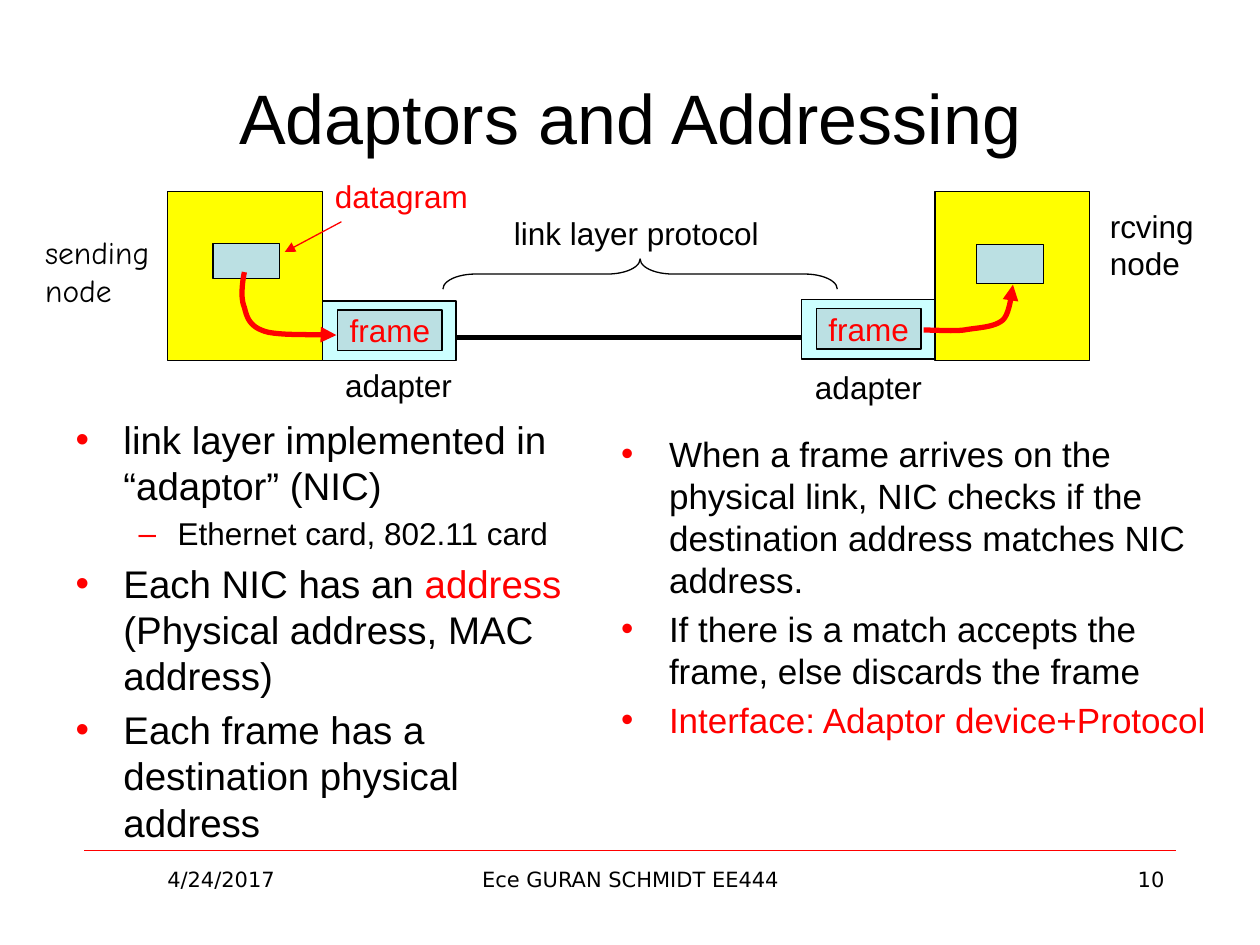
"""Build the slide on adaptors and addressing."""
import dataclasses
import typing

import lxml.etree
import pptx
import pptx.dml.color
import pptx.enum.shapes
import pptx.enum.text
import pptx.oxml.ns
import pptx.util

COLS, ROWS = 100, 75
CELL = pptx.util.Inches(0.1)
BLACK, RED, YELLOW, CYAN, TEAL = "000000", "FF0000", "FFFF00", "CCFFFF", "BBE0E3"
ALIGN = pptx.enum.text.PP_ALIGN
ANCHOR = pptx.enum.text.MSO_ANCHOR
FORM = pptx.enum.shapes.MSO_SHAPE
Point = tuple[float, float]


@dataclasses.dataclass
class Box:
    """A filled box, placed in grid columns and rows."""
    col: float
    row: float
    wide: float
    high: float
    fill: str
    text: str = ""


@dataclasses.dataclass
class Label:
    """Free text, placed in grid columns and rows."""
    col: float
    row: float
    wide: float
    high: float
    text: str
    hue: str = BLACK
    face: str = "Arial"
    size: float = 18
    align: typing.Any = ALIGN.LEFT
    wrap: bool = False


@dataclasses.dataclass
class Item:
    """A list entry made of text and colour pairs."""
    runs: list[tuple[str, str]]
    size: float
    level: int = 0


NODES = [
    Box(74.2, 15.2, 12.3, 13.4, YELLOW), Box(77.5, 19.4, 5.3, 3.1, TEAL),
    Box(13.3, 15.2, 12.3, 13.4, YELLOW), Box(16.9, 19.3, 5.3, 2.8, TEAL),
]
CARDS = [(25.6, 23.9), (63.6, 23.8)]
LABELS = [
    Label(2.6, 18, 10.7, 7, "sending\nnode", face="Comic Neue"),
    Label(87.1, 15.9, 9, 7, "rcving\nnode"),
    Label(25.6, 13.6, 13, 4, "datagram", RED),
    Label(26.4, 28.6, 10.6, 4, "adapter"),
    Label(63.7, 28.7, 10.6, 4, "adapter"),
    Label(39.8, 16.5, 21.7, 4, "link layer protocol"),
]
FOOT = [
    (6.7, 21.7, "4/24/2017", ALIGN.CENTER),
    (34.2, 31.7, "Ece GURAN SCHMIDT EE444", ALIGN.CENTER),
    (71.7, 21.7, "10", ALIGN.RIGHT),
]
LEFT = [
    Item([("link layer implemented in “adaptor” (NIC)", BLACK)], 22),
    Item([("Ethernet card, 802.11 card", BLACK)], 18, 1),
    Item([("Each NIC has an ", BLACK), ("address ", RED),
          ("(Physical address, MAC address)", BLACK)], 22),
    Item([("Each frame has a destination physical address", BLACK)], 22),
]
RIGHT = [
    Item([("When a frame arrives on the physical link, NIC checks if the "
           "destination address matches NIC address.", BLACK)], 20),
    Item([("If there is a match accepts the frame, else discards the frame", BLACK)], 20),
    Item([("Interface: Adaptor device+Protocol", RED)], 20),
]
CURVES = [
    [(19.4, 21.6), (19.2, 22.6), (19.1, 23.7), (19.4, 24.4), (19.6, 25.2),
     (19.8, 25.9), (21, 26.3), (22.2, 26.7), (25.7, 26.5), (26.7, 26.6)],
    [(73.3, 26.2), (74.4, 26.2), (75.5, 26.3), (76.5, 26.2), (77.6, 26),
     (78.9, 26), (79.6, 25.4), (80.2, 24.8), (80.3, 23), (80.4, 22.6)],
]


def grid(*cells: float) -> list[int]:
    """Turn grid units into lengths."""
    return [round(cell * CELL) for cell in cells]


def tint(code: str) -> pptx.dml.color.RGBColor:
    """Turn a hex string into a colour."""
    return pptx.dml.color.RGBColor.from_string(code)


def put(thing: typing.Any, **looks: typing.Any) -> None:
    """Set each given attribute."""
    for name, value in looks.items():
        setattr(thing, name, value)


def place(shape: typing.Any, *cells: float) -> None:
    """Move and size a shape on the grid."""
    put(shape, **dict(zip(("left", "top", "width", "height"), grid(*cells))))


def add_node(parent: typing.Any, tag: str, **marks: str) -> typing.Any:
    """Append a drawing element."""
    return lxml.etree.SubElement(parent, pptx.oxml.ns.qn(tag), marks)


def write(para: typing.Any, text: str, hue: str, size: float, face: str = "Arial") -> None:
    """Add one styled run."""
    run = para.add_run()
    run.text = text
    put(run.font, name=face, size=pptx.util.Pt(size))
    run.font.color.rgb = tint(hue)


def ink(shape: typing.Any, hue: str, width: float, arrow: bool = False) -> None:
    """Style an outline, with an arrowhead if asked."""
    shape.line.color.rgb = tint(hue)
    shape.line.width = pptx.util.Pt(width)
    if arrow:
        add_node(shape.line._get_or_add_ln(), "a:tailEnd", type="triangle")


def draw_box(shapes: typing.Any, box: Box) -> None:
    """Draw a box and its caption."""
    shape = shapes.add_shape(FORM.RECTANGLE, *grid(box.col, box.row, box.wide, box.high))
    shape.shadow.inherit = False
    shape.fill.solid()
    shape.fill.fore_color.rgb = tint(box.fill)
    ink(shape, BLACK, 0.75)
    if box.text:
        put(shape.text_frame, word_wrap=False, vertical_anchor=ANCHOR.MIDDLE)
        para = shape.text_frame.paragraphs[0]
        para.alignment = ALIGN.CENTER
        write(para, box.text, RED, 18)


def draw_label(shapes: typing.Any, label: Label) -> None:
    """Draw free text, one paragraph a line."""
    frame = shapes.add_textbox(*grid(label.col, label.row, label.wide, label.high)).text_frame
    frame.word_wrap = label.wrap
    for order, line in enumerate(label.text.split("\n")):
        para = frame.add_paragraph() if order else frame.paragraphs[0]
        para.alignment = label.align
        write(para, line, label.hue, label.size, label.face)


def draw_line(shapes: typing.Any, start: Point, end: Point, hue: str,
              width: float, arrow: bool = False) -> None:
    """Draw a straight line."""
    kind = pptx.enum.shapes.MSO_CONNECTOR.STRAIGHT
    line = shapes.add_connector(kind, *grid(*start, *end))
    ink(line, hue, width, arrow)
    add_node(line.element.spPr, "a:effectLst")


def draw_curve(shapes: typing.Any, knots: list[Point], steps: int = 12) -> None:
    """Draw an arrow along joined cubic curves."""
    spots = []
    for first in range(0, len(knots) - 1, 3):
        for step in range(1, steps + 1):
            t = step / steps
            parts = ((1 - t) ** 3, 3 * t * (1 - t) ** 2, 3 * t * t * (1 - t), t ** 3)
            ends = zip(*knots[first:first + 4])
            spots.append(tuple(grid(*(sum(p * v for p, v in zip(parts, axis)) for axis in ends))))
    pen = shapes.build_freeform(*grid(*knots[0]))
    pen.add_line_segments(spots, close=False)
    curve = pen.convert_to_shape()
    curve.shadow.inherit = False
    curve.fill.background()
    ink(curve, RED, 3, True)


def fill_list(holder: typing.Any, items: list[Item]) -> None:
    """Write a bulleted list into a placeholder."""
    frame = holder.text_frame
    put(frame, auto_size=pptx.enum.text.MSO_AUTO_SIZE.NONE, vertical_anchor=ANCHOR.TOP)
    for order, item in enumerate(items):
        para = frame.add_paragraph() if order else frame.paragraphs[0]
        put(para, level=item.level, space_before=pptx.util.Pt(item.size * 0.2))
        props = para._p.get_or_add_pPr()
        margin, dent = ((0.38, -0.38), (0.81, -0.31))[item.level]
        for name, value in {"marL": margin, "indent": dent}.items():
            props.set(name, str(pptx.util.Inches(value)))
        add_node(add_node(props, "a:buClr"), "a:srgbClr", val=RED)
        add_node(props, "a:buFont", typeface="Arial")
        add_node(props, "a:buChar", char="•–"[item.level])
        for text, hue in item.runs:
            write(para, text, hue, item.size)


def main() -> None:
    """Build and save the slide."""
    deck = pptx.Presentation()
    put(deck, slide_width=COLS * CELL, slide_height=ROWS * CELL)
    slide = deck.slides.add_slide(deck.slide_layouts[3])
    shapes = slide.shapes
    title, left, right = slide.placeholders
    place(title, 5, 3, 90, 12.5)
    place(left, 5, 32.5, 43.7, 30.2)
    place(right, 48.3, 33.8, 50.7, 32.7)
    title.text_frame.vertical_anchor = ANCHOR.MIDDLE
    heading = title.text_frame.paragraphs[0]
    heading.alignment = ALIGN.CENTER
    write(heading, "Adaptors and Addressing", BLACK, 40)
    fill_list(left, LEFT)
    fill_list(right, RIGHT)

    draw_line(shapes, (6.7, 67.5), (93.3, 67.5), RED, 0.25)
    for col, wide, text, align in FOOT:
        draw_label(shapes, Label(col, 68.3, wide, 5.2, text, BLACK, "DejaVu Sans", 12, align, True))
    draw_line(shapes, (36.1, 26.8), (63.7, 26.8), BLACK, 3)
    for box in NODES:
        draw_box(shapes, box)
    for col, row in CARDS:
        draw_box(shapes, Box(col, row, 10.6, 4.7, CYAN))
        draw_box(shapes, Box(col + 1.2, row + 0.7, 8.3, 3.2, TEAL, "frame"))
    for label in LABELS:
        draw_label(shapes, label)
    draw_line(shapes, (27.1, 17.6), (22.6, 20), RED, 0.75, True)
    for knots in CURVES:
        draw_curve(shapes, knots)
    brace = shapes.add_shape(FORM.LEFT_BRACE, *grid(49.6, 6.1, 2.4, 31.3))
    brace.adjustments[0] = 1.08
    brace.rotation = 90
    brace.shadow.inherit = False
    brace.fill.background()
    ink(brace, BLACK, 0.75)
    deck.save("out.pptx")


if __name__ == "__main__":
    main()
